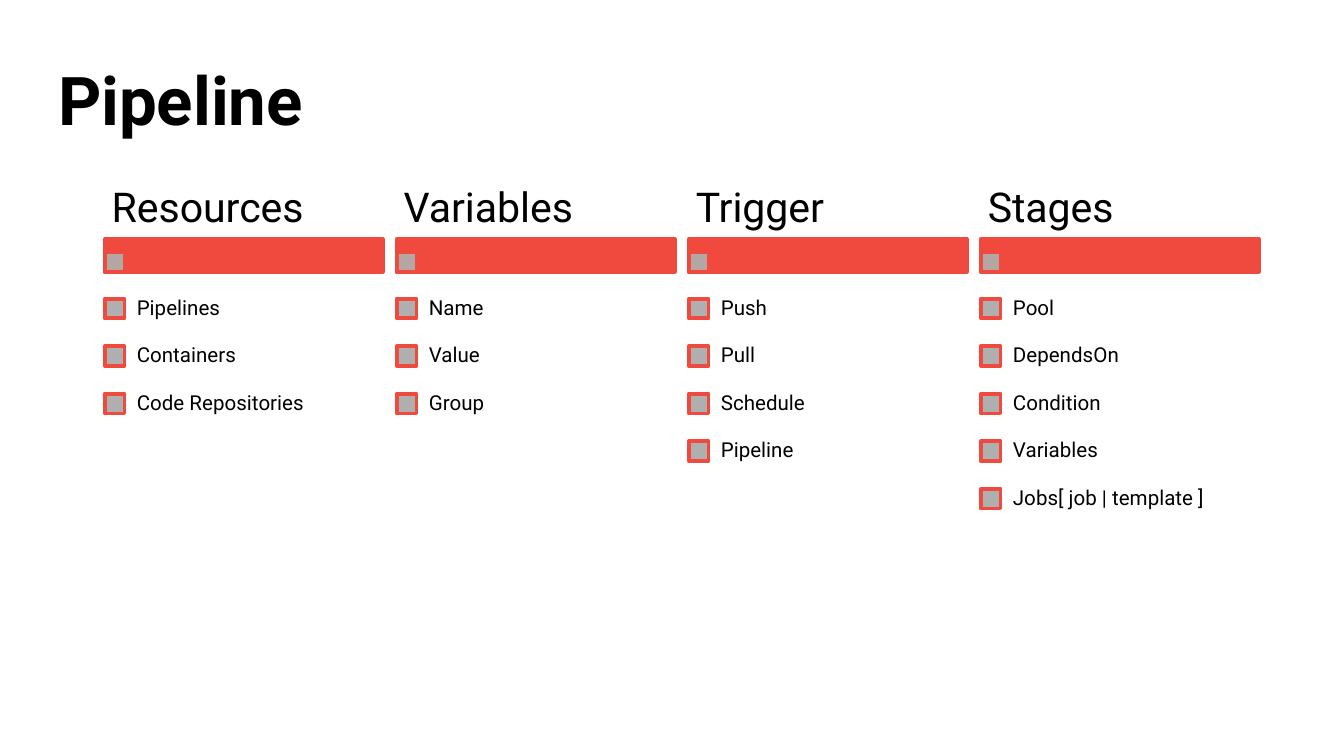
from lxml.etree import SubElement
from pptx import Presentation
from pptx.dml.color import RGBColor
from pptx.enum.shapes import MSO_SHAPE as Shape
from pptx.enum.text import MSO_ANCHOR as Anchor, PP_ALIGN as Align
from pptx.oxml.ns import qn
from pptx.util import Pt

RED = RGBColor(0xF0, 0x49, 0x3E)
GREY = RGBColor(0xAF, 0xAF, 0xAF)
BLACK = RGBColor(0, 0, 0)
FONT = "Roboto"

LEFT = 56.1
COLUMN_STEP = 156.45
COLUMN_WIDTH = 149
HEADING_TOP = 96.5
HEADING_HEIGHT = 31.6
BAR_TOP = 128.1
BAR_HEIGHT = 17.5
MARKER = 10.6
ITEM_TOP = 152.6
ITEM_STEP = 25.45

COLUMNS = {
    "Resources": ["Pipelines", "Containers", "Code Repositories"],
    "Variables": ["Name", "Value", "Group"],
    "Trigger": ["Push", "Pull", "Schedule", "Pipeline"],
    "Stages": ["Pool", "DependsOn", "Condition", "Variables",
               "Jobs[ job | template ]"],
}


def format_text(shape, text, size, anchor, inset_x, inset_y, spacing, bold=False):
    """Fill a shape with one left-aligned paragraph."""
    frame = shape.text_frame
    frame.word_wrap = True
    frame.vertical_anchor = anchor
    frame.margin_left = frame.margin_right = Pt(inset_x)
    frame.margin_top = frame.margin_bottom = Pt(inset_y)
    para = frame.paragraphs[0]
    para.text = text
    para.alignment = Align.LEFT
    para.line_spacing = spacing
    para.font.name = FONT
    para.font.size = Pt(size)
    para.font.bold = bold
    para.font.color.rgb = BLACK


def add_title(page, text):
    """Place and format the title placeholder."""
    title = page.shapes.title
    title.left, title.top = Pt(24.5), Pt(34.6)
    title.width, title.height = Pt(668.2), Pt(48.2)
    format_text(title, text, 36, Anchor.TOP, 6.6, 4.6, Pt(35), bold=True)


def add_label(page, text, left, top, width, height, size, inset_x, inset_y):
    """Add a vertically centred text box."""
    box = page.shapes.add_textbox(Pt(left), Pt(top), Pt(width), Pt(height))
    format_text(box, text, size, Anchor.MIDDLE, inset_x, inset_y, 0.9)


def add_block(page, left, top, width, height, fill, opacity=None):
    """Add a rectangle with a red outline, optionally see-through."""
    block = page.shapes.add_shape(
        Shape.RECTANGLE, Pt(left), Pt(top), Pt(width), Pt(height))
    block.shadow.inherit = False
    block.fill.solid()
    block.fill.fore_color.rgb = fill
    block.line.color.rgb = RED
    block.line.width = Pt(2)
    if opacity is not None:
        color = block.element.spPr.find(qn("a:solidFill"))[0]
        SubElement(color, qn("a:alpha")).set("val", str(opacity * 1000))


def add_column(page, left, heading, items):
    """Add a heading, its bar and the marked items below."""
    add_block(page, left, BAR_TOP, COLUMN_WIDTH, BAR_HEIGHT, RED)
    add_block(page, left, BAR_TOP + BAR_HEIGHT - MARKER, MARKER, MARKER, GREY, 90)
    add_label(page, heading, left, HEADING_TOP, COLUMN_WIDTH, HEADING_HEIGHT,
              22, 3.75, 2.5)
    for row, item in enumerate(items):
        top = ITEM_TOP + row * ITEM_STEP
        add_block(page, left, top + (ITEM_STEP - MARKER) / 2, MARKER, MARKER, GREY)
        add_label(page, item, left + MARKER, top, COLUMN_WIDTH - MARKER, ITEM_STEP,
                  11, 6.6, 6.6)


def main():
    """Build the pipeline slide."""
    deck = Presentation()
    deck.slide_width, deck.slide_height = Pt(720), Pt(405)
    page = deck.slides.add_slide(deck.slide_layouts[5])
    add_title(page, "Pipeline")
    for index, (heading, items) in enumerate(COLUMNS.items()):
        add_column(page, LEFT + index * COLUMN_STEP, heading, items)
    deck.save("out.pptx")


if __name__ == "__main__":
    main()
